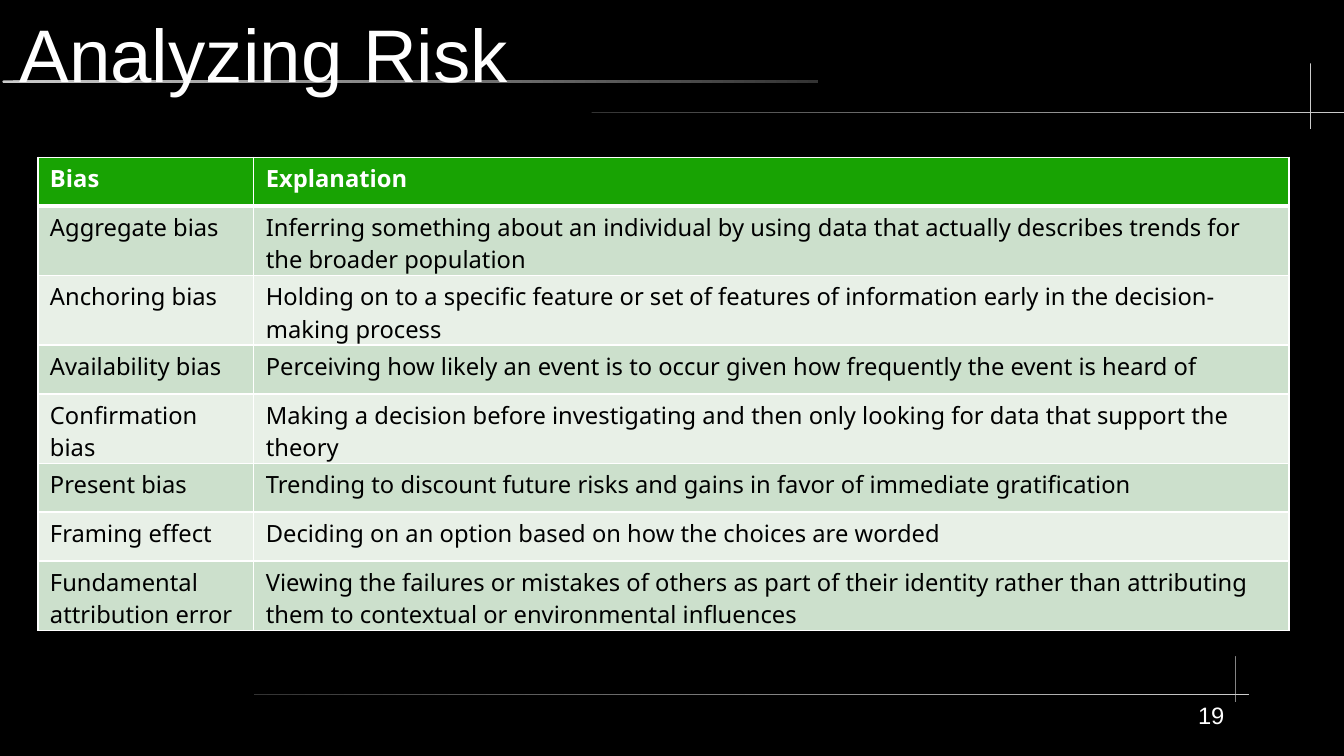
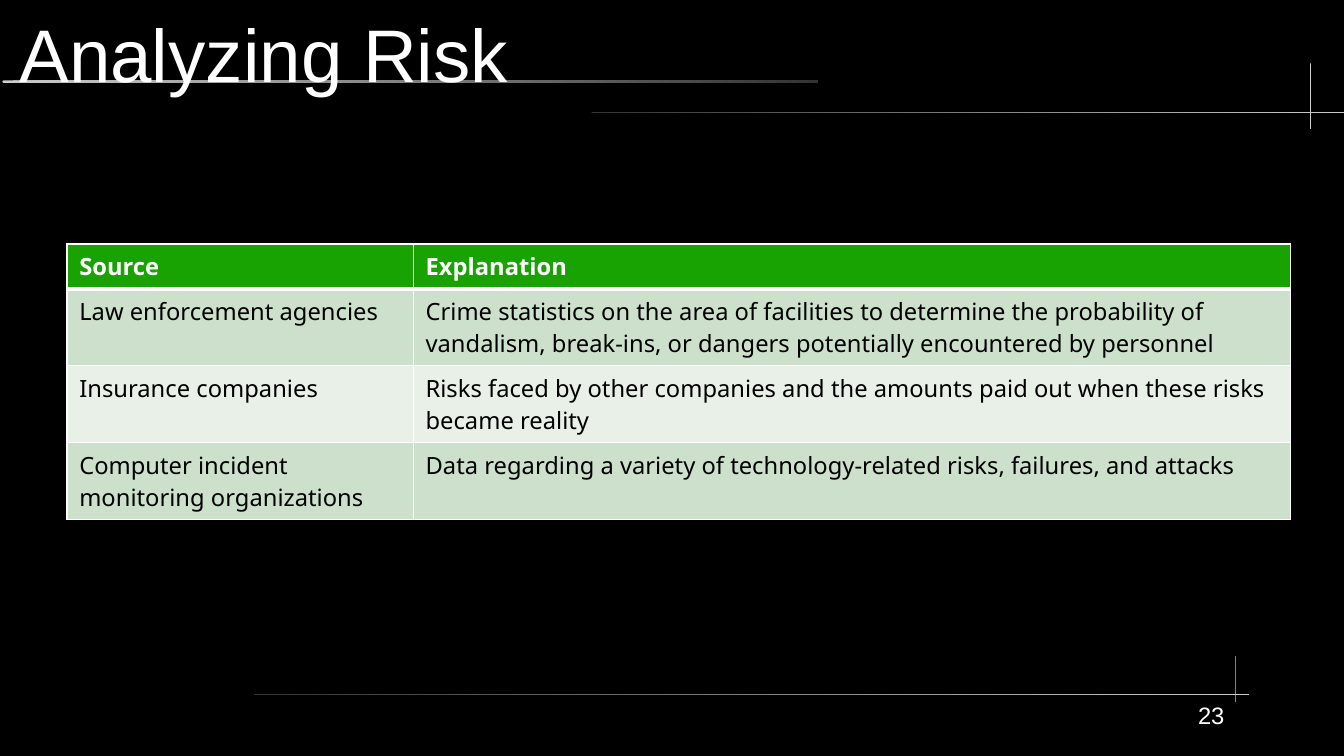
from pptx import Presentation
from pptx import util as u
from pptx.dml.color import RGBColor
from pptx.enum import shapes, text
from pptx.oxml.ns import qn
from lxml import etree

WIDTH, HEIGHT = 11.02, 6.2
BLACK, WHITE, GREEN = "000000", "FFFFFF", "18A303"
BANDS = ("CCE0CC", "E8F0E7")
LIGHT, DARK = "CCCCCC", "333333"
HEADING_FONT, BODY_FONT = "Arial", "Noto Sans"
THIN, THICK = 0.96, 3

# Hairlines: box, colour at the left, colour at the right
RULES = [
    ((0.02, 0.66, 6.69, 0.02), LIGHT, DARK),
    ((4.85, 0.92, 6.21, 0.01), DARK, LIGHT),
    ((10.74, 0.52, 0.01, 0.54), LIGHT, LIGHT),
    ((2.08, 5.69, 8.16, 0.01), DARK, LIGHT),
    ((10.13, 5.38, 0.01, 0.38), LIGHT, LIGHT),
]

BIASES = [
    ("Bias", "Explanation"),
    ("Aggregate bias", "Inferring something about an individual by using data that "
     "actually describes trends for the broader population"),
    ("Anchoring bias", "Holding on to a specific feature or set of features of "
     "information early in the decision-making process"),
    ("Availability bias", "Perceiving how likely an event is to occur given how "
     "frequently the event is heard of"),
    ("Confirmation bias", "Making a decision before investigating and then only "
     "looking for data that support the theory"),
    ("Present bias", "Trending to discount future risks and gains in favor of "
     "immediate gratification"),
    ("Framing effect", "Deciding on an option based on how the choices are worded"),
    ("Fundamental attribution error", "Viewing the failures or mistakes of others as "
     "part of their identity rather than attributing them to contextual or "
     "environmental influences"),
]
SOURCES = [
    ("Source", "Explanation"),
    ("Law enforcement agencies", "Crime statistics on the area of facilities to "
     "determine the probability of vandalism, break-ins, or dangers potentially "
     "encountered by personnel"),
    ("Insurance companies", "Risks faced by other companies and the amounts paid out "
     "when these risks became reality"),
    ("Computer incident monitoring organizations", "Data regarding a variety of "
     "technology-related risks, failures, and attacks"),
]


def color(value):
    return RGBColor.from_string(value)


def inches(box):
    return [u.Inches(length) for length in box]


def write(frame, words, size, font, tint, bold=False, align=text.PP_ALIGN.LEFT):
    frame.word_wrap = True
    para = frame.paragraphs[0]
    para.alignment = align
    span = para.add_run()
    span.text = words
    span.font.size = u.Pt(size)
    span.font.name = font
    span.font.bold = bold
    span.font.color.rgb = color(tint)


def clear_margins(frame):
    frame.margin_left = frame.margin_right = 0
    frame.margin_top = frame.margin_bottom = 0


# Shared look: black ground and hairlines, kept on the layout
def decorate(layout, page):
    layout.background.fill.solid()
    layout.background.fill.fore_color.rgb = color(BLACK)
    for box, left, right in RULES:
        rule = page.shapes.add_shape(shapes.MSO_SHAPE.ROUNDED_RECTANGLE, *inches(box))
        rule.adjustments[0] = 0.5
        rule.shadow.inherit = False
        rule.line.fill.background()
        rule.fill.gradient()
        rule.fill.gradient_angle = 0
        for stop, tint in zip(rule.fill.gradient_stops, (left, right)):
            stop.color.rgb = color(tint)
        layout.shapes._spTree.append(rule._element)


# Title and page number
def add_frame(page, title, number):
    heading = page.shapes.title
    heading.left, heading.top, heading.width, heading.height = inches(
        (0.16, 0.08, 10.43, 0.71))
    clear_margins(heading.text_frame)
    heading.text_frame.vertical_anchor = text.MSO_ANCHOR.MIDDLE
    write(heading.text_frame, title, 44, HEADING_FONT, WHITE)

    footer = page.shapes.add_textbox(*inches((8.27, 5.75, 1.77, 0.45)))
    clear_margins(footer.text_frame)
    write(footer.text_frame, str(number), 14, HEADING_FONT, WHITE,
          align=text.PP_ALIGN.RIGHT)


def add_borders(cell, widths):
    properties = cell._tc.get_or_add_tcPr()
    for side, width in widths.items():
        line = etree.SubElement(properties, qn("a:ln" + side), w=str(u.Pt(width)))
        fill = etree.SubElement(line, qn("a:solidFill"))
        etree.SubElement(fill, qn("a:srgbClr"), val=WHITE)


# Table with a green header and two alternating bands
def add_table(page, left, top, columns, heights, rows, padding):
    box = inches((left, top, sum(columns), sum(heights)))
    table = page.shapes.add_table(len(rows), len(columns), *box).table
    table.horz_banding = False
    for column, width in zip(table.columns, columns):
        column.width = u.Inches(width)
    for index, (entries, height) in enumerate(zip(rows, heights)):
        table.rows[index].height = u.Inches(height)
        header = index == 0
        widths = {"L": THIN, "R": THIN,
                  "T": THICK if index == 1 else THIN,
                  "B": THICK if header else THIN}
        for cell, words in zip(table.rows[index].cells, entries):
            cell.margin_top, cell.margin_bottom = inches(padding)
            add_borders(cell, widths)
            cell.fill.solid()
            cell.fill.fore_color.rgb = color(GREEN if header else BANDS[(index - 1) % 2])
            write(cell.text_frame, words, 14, BODY_FONT,
                  WHITE if header else BLACK, bold=header)


def main():
    deck = Presentation()
    deck.slide_width, deck.slide_height = inches((WIDTH, HEIGHT))
    layout = deck.slide_layouts[5]
    one_line, two_lines = 0.4, 0.57

    biases = deck.slides.add_slide(layout)
    decorate(layout, biases)
    add_frame(biases, "Analyzing Risk", 19)
    heights = [one_line] + [two_lines, two_lines, one_line] + \
              [two_lines, one_line, one_line, two_lines]
    add_table(biases, 0.31, 1.29, (1.77, 8.49), heights, BIASES, (0.04, 0))

    sources = deck.slides.add_slide(layout)
    add_frame(sources, "Analyzing Risk", 23)
    add_table(sources, 0.55, 2, (2.84, 7.19), [0.37] + [0.63] * 3, SOURCES, (0.05, 0.05))

    deck.save("out.pptx")


if __name__ == "__main__":
    main()
